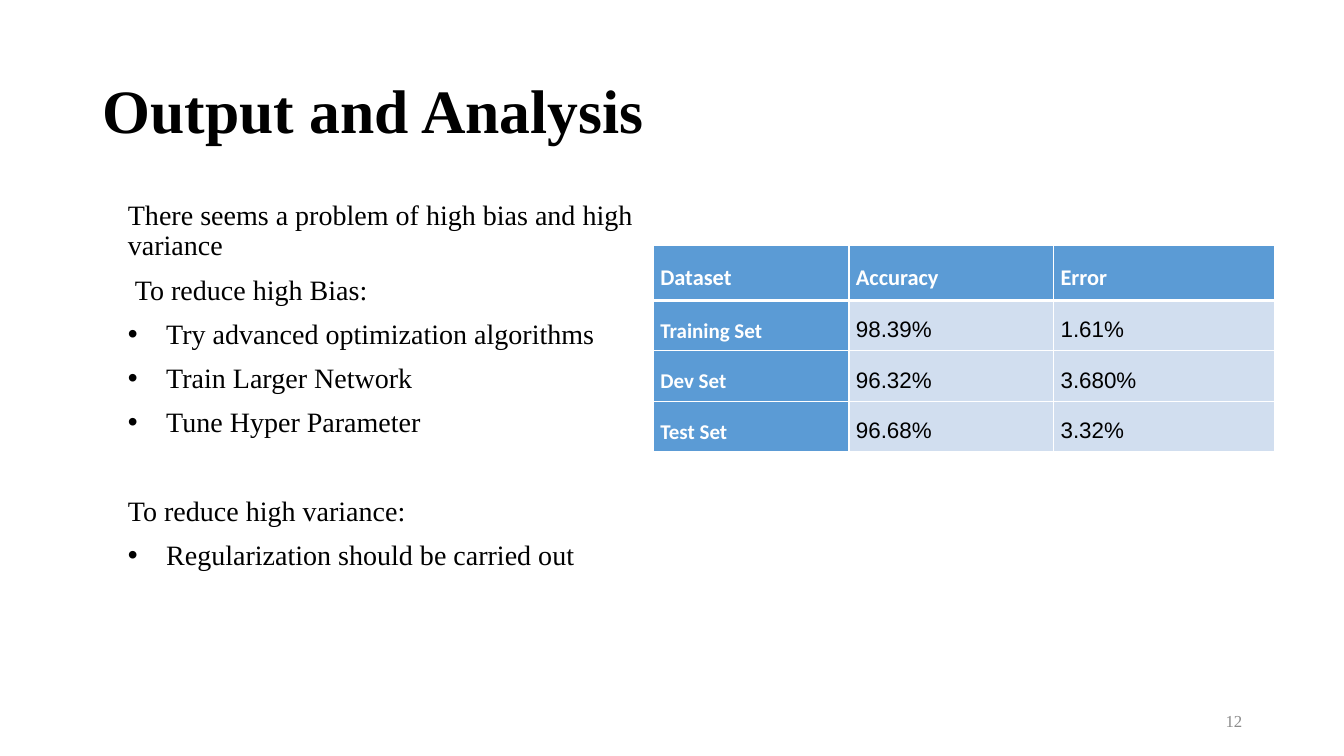
from lxml.etree import SubElement
from pptx import Presentation
from pptx.dml.color import RGBColor
from pptx.enum.text import MSO_ANCHOR, PP_ALIGN
from pptx.oxml.ns import qn
from pptx.util import Inches, Pt

SERIF = "Times New Roman"
BLACK, WHITE, GREY = "000000", "FFFFFF", "8B8B8B"
BLUE, PALE_BLUE = "5B9BD5", "D1DEEF"

# Text, first-line indent in inches, space before in points, bulleted or not
ADVICE = [
    ("There seems a problem of high bias and high variance", 0, 10, False),
    ("To reduce high Bias:", 0.07, 10, False),
    ("Try advanced optimization algorithms", -0.38, 10, True),
    ("Train Larger Network", -0.38, 10, True),
    ("Tune Hyper Parameter", -0.38, 10, True),
    ("To reduce high variance:", 0, 41.5, False),
    ("Regularization should be carried out", -0.38, 10, True),
]

RESULTS = [
    ("Dataset", "Accuracy", "Error"),
    ("Training Set", "98.39%", "1.61%"),
    ("Dev Set", "96.32%", "3.680%"),
    ("Test Set", "96.68%", "3.32%"),
]
COLUMN_WIDTHS = [1.94, 2.03, 2.19]
ROW_HEIGHTS = [0.55, 0.44, 0.42, 0.46]


def colour(value):
    return RGBColor.from_string(value)


def apply(target, formats):
    for name, value in formats.items():
        setattr(target, name, value)


def write(para, text, size, font, ink, bold=False, **formats):
    """Put one styled span into a paragraph."""
    apply(para, formats)
    span = para.add_run()
    span.text = text
    apply(span.font, {"size": Pt(size), "name": font, "bold": bold})
    span.font.color.rgb = colour(ink)


def add_box(page, left, top, width, height, anchor):
    box = page.shapes.add_textbox(*map(Inches, (left, top, width, height)))
    apply(box.text_frame, {"word_wrap": True, "vertical_anchor": anchor})
    return box.text_frame


def indent(para, first_line, bulleted):
    properties = para._p.get_or_add_pPr()
    properties.set("marL", str(Inches(-first_line if bulleted else 0)))
    properties.set("indent", str(Inches(first_line)))
    if bulleted:
        SubElement(properties, qn("a:buFont")).set("typeface", "Arial")
        SubElement(properties, qn("a:buChar")).set("char", "•")


def add_advice(page):
    frame = add_box(page, 1.17, 1.95, 5.31, 4.42, MSO_ANCHOR.TOP)
    for index, (text, first_line, before, bulleted) in enumerate(ADVICE):
        para = frame.add_paragraph() if index else frame.paragraphs[0]
        write(para, text, 20, SERIF, BLACK,
              line_spacing=0.9, space_before=Pt(before))
        indent(para, first_line, bulleted)


def add_borders(cell, widths):
    properties = cell._tc.get_or_add_tcPr()
    for side, width in zip("LRTB", widths):
        line = SubElement(properties, qn(f"a:ln{side}"), w=str(Pt(width)))
        fill = SubElement(line, qn("a:solidFill"))
        SubElement(fill, qn("a:srgbClr"), val=WHITE)


def fill_cell(cell, text, row, column):
    is_label = row == 0 or column == 0
    apply(cell, {"margin_left": Inches(0.07), "margin_right": Inches(0.07),
                 "margin_top": Inches(0.05), "margin_bottom": Inches(0.05)})
    # The line under the header row is heavier
    add_borders(cell, (0.96, 0.96, 3 if row == 1 else 0.96, 3 if row == 0 else 0.96))
    cell.fill.solid()
    cell.fill.fore_color.rgb = colour(BLUE if is_label else PALE_BLUE)
    size = 15 if row and is_label else 16
    font, ink = ("Calibri", WHITE) if is_label else ("Arial", BLACK)
    write(cell.text_frame.paragraphs[0], text, size, font, ink, is_label,
          alignment=PP_ALIGN.JUSTIFY, line_spacing=1.5, space_after=Pt(6))


def add_results(page):
    frame = page.shapes.add_table(
        len(RESULTS), len(COLUMN_WIDTHS), Inches(6.48), Inches(2.43),
        Inches(sum(COLUMN_WIDTHS)), Inches(sum(ROW_HEIGHTS)))
    table = frame.table
    for column, width in zip(table.columns, COLUMN_WIDTHS):
        column.width = Inches(width)
    for row, height in zip(table.rows, ROW_HEIGHTS):
        row.height = Inches(height)
    for row, texts in enumerate(RESULTS):
        for column, text in enumerate(texts):
            fill_cell(table.cell(row, column), text, row, column)


def main():
    deck = Presentation()
    apply(deck, {"slide_width": Inches(13.33), "slide_height": Inches(7.5)})
    page = deck.slides.add_slide(deck.slide_layouts[6])

    # Page number
    number = add_box(page, 9.42, 6.95, 3, 0.4, MSO_ANCHOR.MIDDLE)
    write(number.paragraphs[0], "12", 12, SERIF, GREY, alignment=PP_ALIGN.RIGHT)

    # Title
    title = add_box(page, 0.92, 0.4, 11.5, 1.45, MSO_ANCHOR.MIDDLE)
    write(title.paragraphs[0], "Output and Analysis", 44, SERIF, BLACK, True,
          line_spacing=0.9)

    # Results table and advice
    add_results(page)
    add_advice(page)
    deck.save("out.pptx")


if __name__ == "__main__":
    main()
